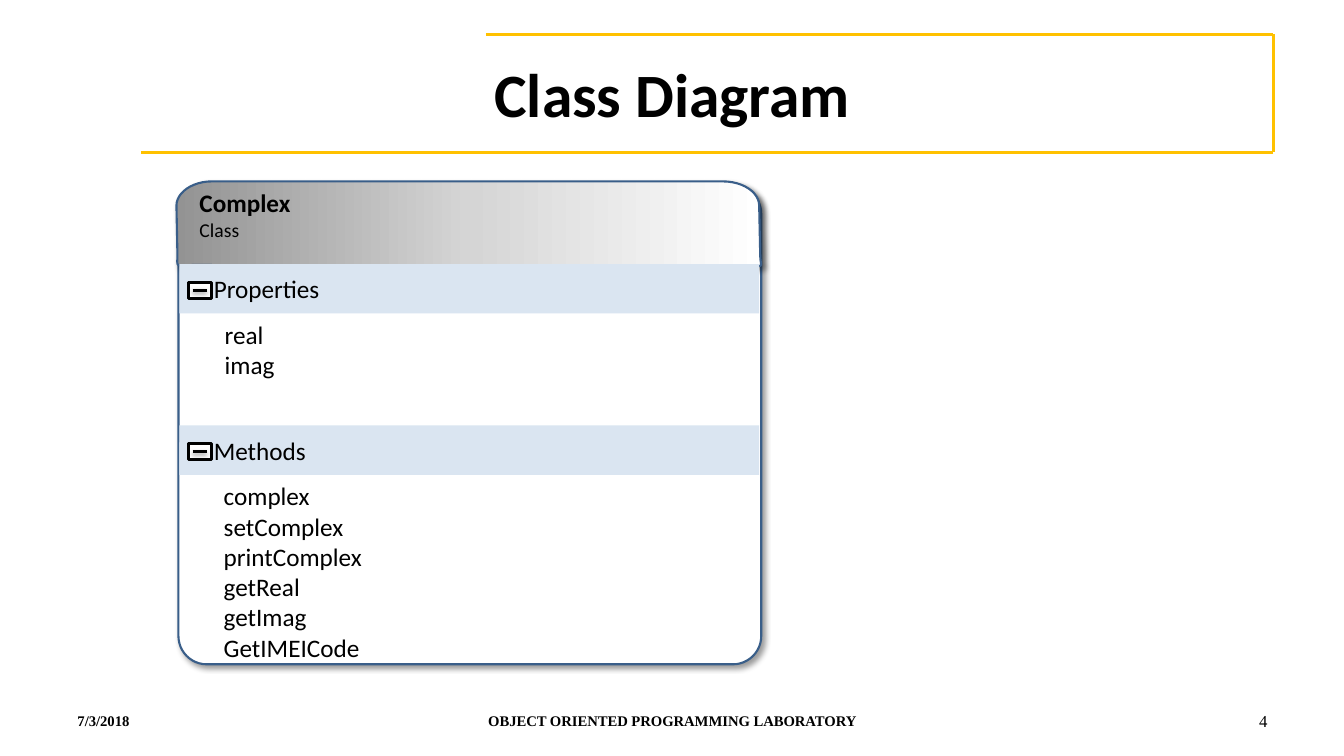
from copy import deepcopy
from dataclasses import dataclass

from lxml import etree
from pptx import Presentation
from pptx.dml.color import RGBColor
from pptx.enum.shapes import MSO_CONNECTOR, MSO_SHAPE
from pptx.enum.text import MSO_ANCHOR, PP_ALIGN
from pptx.oxml.ns import qn
from pptx.util import Inches, Pt

LEFT, CENTER, RIGHT = PP_ALIGN.LEFT, PP_ALIGN.CENTER, PP_ALIGN.RIGHT
TOP, MIDDLE = MSO_ANCHOR.TOP, MSO_ANCHOR.MIDDLE
RECT, ROUND_RECT = MSO_SHAPE.RECTANGLE, MSO_SHAPE.ROUNDED_RECTANGLE
STRAIGHT = MSO_CONNECTOR.STRAIGHT

BLACK = RGBColor(0x00, 0x00, 0x00)
WHITE = RGBColor(0xFF, 0xFF, 0xFF)
GOLD = RGBColor(0xFF, 0xC1, 0x00)
BORDER = RGBColor(0x39, 0x5E, 0x89)
BAR = RGBColor(0xDA, 0xE5, 0xF1)
HEADER_STOPS = [(0, RGBColor(0x93, 0x93, 0x93)),
                (0.5, RGBColor(0xD5, 0xD5, 0xD5)),
                (1, WHITE)]
SANS, SERIF = "Calibri", "Times New Roman"

Point = tuple[float, float]
Box = tuple[float, float, float, float]


@dataclass
class Line:
    text: str
    size: float = 18
    bold: bool = False
    font: str = SANS


@dataclass
class Section:
    name: str
    top: float
    members: list[str]
    members_box: Box


@dataclass
class Footer:
    line: Line
    left: float
    width: float
    align: PP_ALIGN


@dataclass
class Shadow:
    alpha: int
    blur: float
    dist: float
    angle: int


CARD_SHADOW = Shadow(40, 4, 3, 45)
MINUS_SHADOW = Shadow(38, 3.1, 1.6, 90)

SECTIONS = [
    Section("Properties", 2.62, ["real", "imag"], (2.13, 3.12, 1.39, 0.71)),
    Section("Methods", 4.22,
            ["complex", "setComplex", "printComplex", "getReal", "getImag", "GetIMEICode"],
            (2.12, 4.72, 1.59, 1.92)),
]
FOOTERS = [
    Footer(Line("7/3/2018", 10.5, True, SERIF), 0.67, 3.11, LEFT),
    Footer(Line("OBJECT ORIENTED PROGRAMMING LABORATORY", 10.5, True, SERIF), 4.56, 4.22, CENTER),
    Footer(Line("4", 12, False, SERIF), 9.56, 3.11, RIGHT),
]
FRAME = [(4.82, 0.34), (12.63, 0.34), (12.63, 1.51), (1.4, 1.51)]


def add_shadow(effects, shadow: Shadow) -> None:
    outer = etree.SubElement(effects, qn("a:outerShdw"), blurRad=str(Pt(shadow.blur)),
                             dist=str(Pt(shadow.dist)), dir=str(shadow.angle * 60000),
                             algn="ctr", rotWithShape="0")
    color = etree.SubElement(outer, qn("a:srgbClr"), val=str(BLACK))
    etree.SubElement(color, qn("a:alpha"), val=str(shadow.alpha * 1000))


def style(sp, fill: RGBColor | None, line: RGBColor | None = None, width: float = 1.5,
          shadow: Shadow | None = None) -> None:
    if fill is not None:
        sp.fill.solid()
        sp.fill.fore_color.rgb = fill
    if line is None:
        sp.line.fill.background()
    else:
        sp.line.color.rgb = line
        sp.line.width = Pt(width)
    sp.shadow.inherit = False
    if shadow:
        add_shadow(sp._element.spPr.find(qn("a:effectLst")), shadow)


def write(sp, lines: list[Line], align: PP_ALIGN = LEFT, anchor: MSO_ANCHOR = TOP) -> None:
    tf = sp.text_frame
    tf.word_wrap = True
    tf.vertical_anchor = anchor
    for i, line in enumerate(lines):
        p = tf.add_paragraph() if i else tf.paragraphs[0]
        p.alignment = align
        r = p.add_run()
        r.text = line.text
        r.font.name = line.font
        r.font.size = Pt(line.size)
        r.font.bold = line.bold
        r.font.color.rgb = BLACK


def add_shape(s, kind: MSO_SHAPE, box: Box):
    return s.shapes.add_shape(kind, *map(Inches, box))


def add_text(s, box: Box, lines: list[Line], align: PP_ALIGN = LEFT,
             anchor: MSO_ANCHOR = TOP) -> None:
    write(s.shapes.add_textbox(*map(Inches, box)), lines, align, anchor)


def add_line(s, start: Point, end: Point, color: RGBColor,
             shadow: Shadow | None = None) -> None:
    line = s.shapes.add_connector(STRAIGHT, *map(Inches, start + end))
    line.line.color.rgb = color
    line.line.width = Pt(2)
    effects = etree.SubElement(line._element.spPr, qn("a:effectLst"))
    if shadow:
        add_shadow(effects, shadow)


def curve(a: Point, b: Point, c: Point, d: Point, steps: int = 12) -> list[Point]:
    """Points along a cubic curve from a to d."""
    ts = [i / steps for i in range(steps + 1)]
    return [tuple((1 - t) ** 3 * a[k] + 3 * t * (1 - t) ** 2 * b[k]
                  + 3 * t * t * (1 - t) * c[k] + t ** 3 * d[k] for k in (0, 1))
            for t in ts]


def add_header(s) -> None:
    outline = (curve((1.75, 2.04), (1.75, 1.91), (1.91, 1.8), (2.1, 1.8))
               + curve((7.17, 1.8), (7.37, 1.8), (7.53, 1.91), (7.53, 2.04))
               + curve((7.54, 2.53), (7.54, 2.66), (7.6, 2.64), (7.4, 2.64))
               + curve((1.92, 2.63), (1.73, 2.63), (1.76, 2.66), (1.76, 2.53)))
    points = [(Inches(x), Inches(y)) for x, y in outline]
    builder = s.shapes.build_freeform(*points[0])
    builder.add_line_segments(points[1:], close=True)
    header = builder.convert_to_shape()
    header.fill.gradient()
    header.fill.gradient_angle = 0
    stops = header._element.spPr.find(".//" + qn("a:gsLst"))
    stops.insert(1, deepcopy(stops[0]))
    for stop, (position, color) in zip(header.fill.gradient_stops, HEADER_STOPS):
        stop.position = position
        stop.color.rgb = color
    style(header, None, BORDER, shadow=CARD_SHADOW)
    add_text(s, (1.88, 1.81, 1.11, 0.64), [Line("Complex", bold=True), Line("Class", 14)])


def add_section(s, section: Section) -> None:
    bar = add_shape(s, RECT, (1.78, section.top, 5.75, 0.49))
    style(bar, BAR)
    bar.text_frame.margin_left = Inches(0.34)
    write(bar, [Line(section.name)], anchor=MIDDLE)
    # Collapse button
    style(add_shape(s, RECT, (1.87, section.top + 0.18, 0.23, 0.16)), WHITE, BLACK, 2)
    y = section.top + 0.26
    add_line(s, (1.91, y), (2.05, y), BLACK, MINUS_SHADOW)
    add_text(s, section.members_box, [Line(name) for name in section.members])


def main() -> None:
    prs = Presentation()
    prs.slide_width, prs.slide_height = Inches(13.33), Inches(7.5)
    s = prs.slides.add_slide(prs.slide_layouts[5])

    # Title and its frame
    for start, end in zip(FRAME, FRAME[1:]):
        add_line(s, start, end, GOLD)
    title = s.shapes.title
    title.left, title.top, title.width, title.height = map(Inches, (0.67, 0.3, 12, 1.25))
    write(title, [Line("Class Diagram", 44, True)], CENTER, MIDDLE)

    # Class card
    card = add_shape(s, ROUND_RECT, (1.77, 1.84, 5.78, 4.75))
    card.adjustments[0] = 0.059
    style(card, WHITE, BORDER, shadow=CARD_SHADOW)
    add_header(s)
    for section in SECTIONS:
        add_section(s, section)

    # Footer
    for footer in FOOTERS:
        add_text(s, (footer.left, 6.95, footer.width, 0.4), [footer.line], footer.align, MIDDLE)

    prs.save("out.pptx")


if __name__ == "__main__":
    main()
